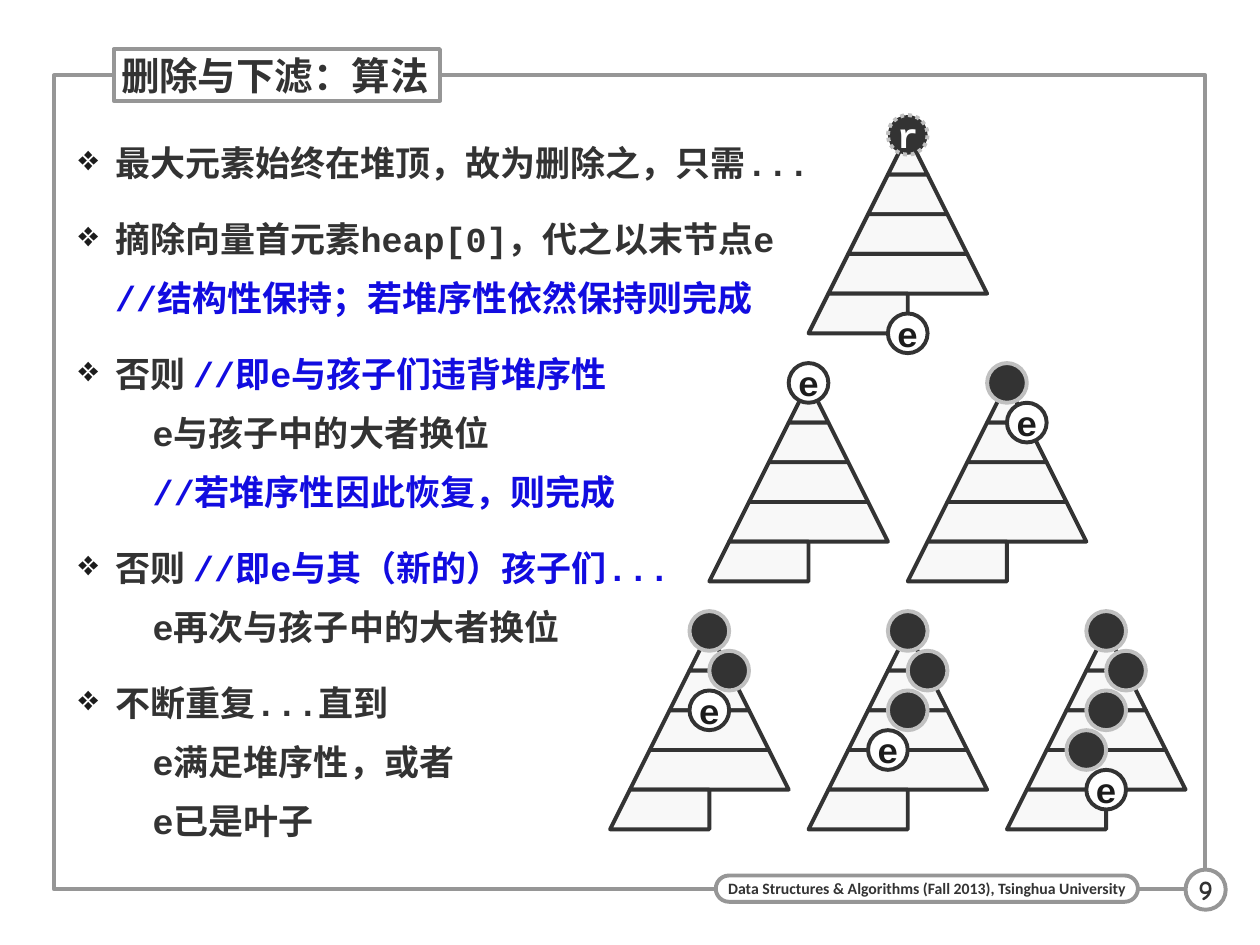
import lxml.etree
import pptx
import pptx.dml.color
import pptx.enum.dml
import pptx.enum.shapes
import pptx.enum.text
import pptx.oxml.ns
import pptx.util

Cm = pptx.util.Cm
Pt = pptx.util.Pt
Shape = pptx.enum.shapes.MSO_SHAPE
Align = pptx.enum.text.PP_ALIGN

INK, BLACK, BLUE = "333333", "1C1C1C", "120CE0"
WHITE, PALE, SILVER, GREY = "FFFFFF", "F8F8F8", "C0C0C0", "969696"
CODE_FONT = "Courier New"

UNIT = 0.8
HALF = UNIT / 2
FULL_LEVELS = 4
SWAP_ROUTE = [(0, 0), (1, 1), (0, 2), (-1, 3), (0, 4)]
LAST_LEAF = (0, 5)

POINTS = [
    [[("最大元素始终在堆顶，故为删除之，只需...", INK)]],
    [[("摘除向量首元素heap[0]，代之以末节点e", INK)],
     [("//结构性保持；若堆序性依然保持则完成", BLUE)]],
    [[("否则 ", INK), ("//即e与孩子们违背堆序性", BLUE)],
     [("\te与孩子中的大者换位", INK)],
     [("\t//若堆序性因此恢复，则完成", BLUE)]],
    [[("否则 ", INK), ("//即e与其（新的）孩子们...", BLUE)],
     [("\te再次与孩子中的大者换位", INK)]],
    [[("不断重复...直到", INK)],
     [("\te满足堆序性，或者", INK)],
     [("\te已是叶子", INK)]],
]


def rgb(colour):
    return pptx.dml.color.RGBColor.from_string(colour)


def paint(shape, fill, line):
    shape.shadow.inherit = False
    if fill:
        shape.fill.solid()
        shape.fill.fore_color.rgb = rgb(fill)
    else:
        shape.fill.background()
    shape.line.color.rgb = rgb(line)
    shape.line.width = Pt(2.25)


def add_preset(slide, kind, left, top, width, height, fill, line):
    shape = slide.shapes.add_shape(kind, Cm(left), Cm(top), Cm(width), Cm(height))
    paint(shape, fill, line)
    return shape


def set_frame(frame, side, edge, wrap, anchor):
    frame.margin_left = frame.margin_right = Cm(side)
    frame.margin_top = frame.margin_bottom = Cm(edge)
    frame.word_wrap = wrap
    frame.vertical_anchor = anchor
    frame.auto_size = pptx.enum.text.MSO_AUTO_SIZE.NONE


def add_run(paragraph, text, size, colour, font=CODE_FONT):
    run = paragraph.add_run()
    run.text = text
    run.font.size = Pt(size)
    run.font.name = font
    run.font.bold = True
    run.font.color.rgb = rgb(colour)


def write_label(shape, text, size, colour, font=CODE_FONT, align=Align.CENTER,
                side=0, edge=0, wrap=False):
    set_frame(shape.text_frame, side, edge, wrap, pptx.enum.text.MSO_ANCHOR.MIDDLE)
    paragraph = shape.text_frame.paragraphs[0]
    paragraph.alignment = align
    add_run(paragraph, text, size, colour, font)


def add_title(slide, text):
    title = slide.shapes.title
    title.left, title.top, title.width, title.height = Cm(2.29), Cm(0.99), Cm(6.58), Cm(1.04)
    paint(title, WHITE, GREY)
    write_label(title, text, 22, INK, align=Align.LEFT, side=0.15, edge=0.03, wrap=True)
    title.element.getparent().append(title.element)


def add_page_frame(slide):
    add_preset(slide, Shape.RECTANGLE, 1.09, 1.52, 23.21, 16.41, None, GREY)
    course = add_preset(slide, Shape.ROUNDED_RECTANGLE, 14.43, 17.65, 8.51, 0.53, WHITE, GREY)
    course.adjustments[0] = 0.5
    write_label(course, "Data Structures & Algorithms (Fall 2013), Tsinghua University",
                9, INK, "Calibri", side=0.15)
    number = add_preset(slide, Shape.OVAL, 23.9, 17.53, 0.81, 0.81, WHITE, GREY)
    write_label(number, "9", 16, INK, "Comic Neue", side=0.1, edge=0.1)


def set_bullet(paragraph, char, colour, indent, tab):
    qn = pptx.oxml.ns.qn
    sub = lxml.etree.SubElement
    properties = paragraph._p.get_or_add_pPr()
    properties.set("marL", str(Cm(indent)))
    properties.set("indent", str(-Cm(indent)))
    sub(sub(properties, qn("a:buClr")), qn("a:srgbClr"), val=colour)
    sub(properties, qn("a:buChar"), char=char)
    tabs = sub(properties, qn("a:tabLst"))
    for stop in (indent, tab):
        sub(tabs, qn("a:tab"), pos=str(Cm(stop)), algn="l")


def add_points(slide):
    box = slide.shapes.add_textbox(Cm(1.17), Cm(2.31), Cm(23.14), Cm(15.01))
    frame = box.text_frame
    set_frame(frame, 0, 0.2, True, pptx.enum.text.MSO_ANCHOR.TOP)
    frame.margin_left = Cm(0.41)
    for index, lines in enumerate(POINTS):
        paragraph = frame.add_paragraph() if index else frame.paragraphs[0]
        set_bullet(paragraph, "❖", BLACK, 0.74, 1.5)
        paragraph.line_spacing = 1.4
        paragraph.space_before = Pt(7.5 if index else 0)
        paragraph.space_after = Pt(2.5)
        for line_index, line in enumerate(lines):
            if line_index:
                paragraph.add_line_break()
            for text, colour in line:
                add_run(paragraph, text, 20, colour)


def add_layer(slide, corners):
    points = [(Cm(x), Cm(y)) for x, y in corners]
    builder = slide.shapes.build_freeform(*points[0], scale=1.0)
    builder.add_line_segments(points[1:], close=True)
    paint(builder.convert_to_shape(), PALE, INK)


def add_heap(slide, apex, top):
    add_preset(slide, Shape.ISOSCELES_TRIANGLE, apex - HALF, top, UNIT, UNIT, PALE, INK)
    for level in range(1, FULL_LEVELS + 1):
        upper, lower = level * HALF, (level + 1) * HALF
        y = top + level * UNIT
        last = level == FULL_LEVELS
        add_layer(slide, [
            (apex - lower, y + UNIT),
            (apex - upper, y),
            (apex + (0 if last else upper), y),
            (apex + (0 if last else lower), y + UNIT),
        ])


def add_node(slide, apex, top, spot, fill, line):
    column, level = spot
    return add_preset(slide, Shape.OVAL, apex + (column - 1) * HALF,
                      top + level * UNIT - HALF, UNIT, UNIT, fill, line)


def add_e_node(slide, apex, top, spot):
    write_label(add_node(slide, apex, top, spot, WHITE, INK), "e", 20, BLACK)


def add_removal(slide, apex, top):
    add_heap(slide, apex, top)
    root = add_node(slide, apex, top, (0, 0), INK, SILVER)
    root.line.dash_style = pptx.enum.dml.MSO_LINE.ROUND_DOT
    write_label(root, "r", 20, WHITE)
    add_e_node(slide, apex, top, LAST_LEAF)


def add_swap_step(slide, apex, top, swaps):
    add_heap(slide, apex, top)
    add_e_node(slide, apex, top, SWAP_ROUTE[swaps])
    for spot in SWAP_ROUTE[:swaps]:
        add_node(slide, apex, top, spot, INK, SILVER)


def main():
    deck = pptx.Presentation()
    deck.slide_width, deck.slide_height = Cm(25.4), Cm(19.05)
    slide = deck.slides.add_slide(deck.slide_layouts[5])
    add_page_frame(slide)
    add_title(slide, "删除与下滤：算法")
    add_points(slide)
    add_removal(slide, 18.3, 2.72)
    swaps = 0
    for first_apex, top, heaps in ((16.3, 7.72, 2), (14.3, 12.72, 3)):
        for place in range(heaps):
            add_swap_step(slide, first_apex + 4 * place, top, swaps)
            swaps += 1
    deck.save("out.pptx")


if __name__ == "__main__":
    main()
